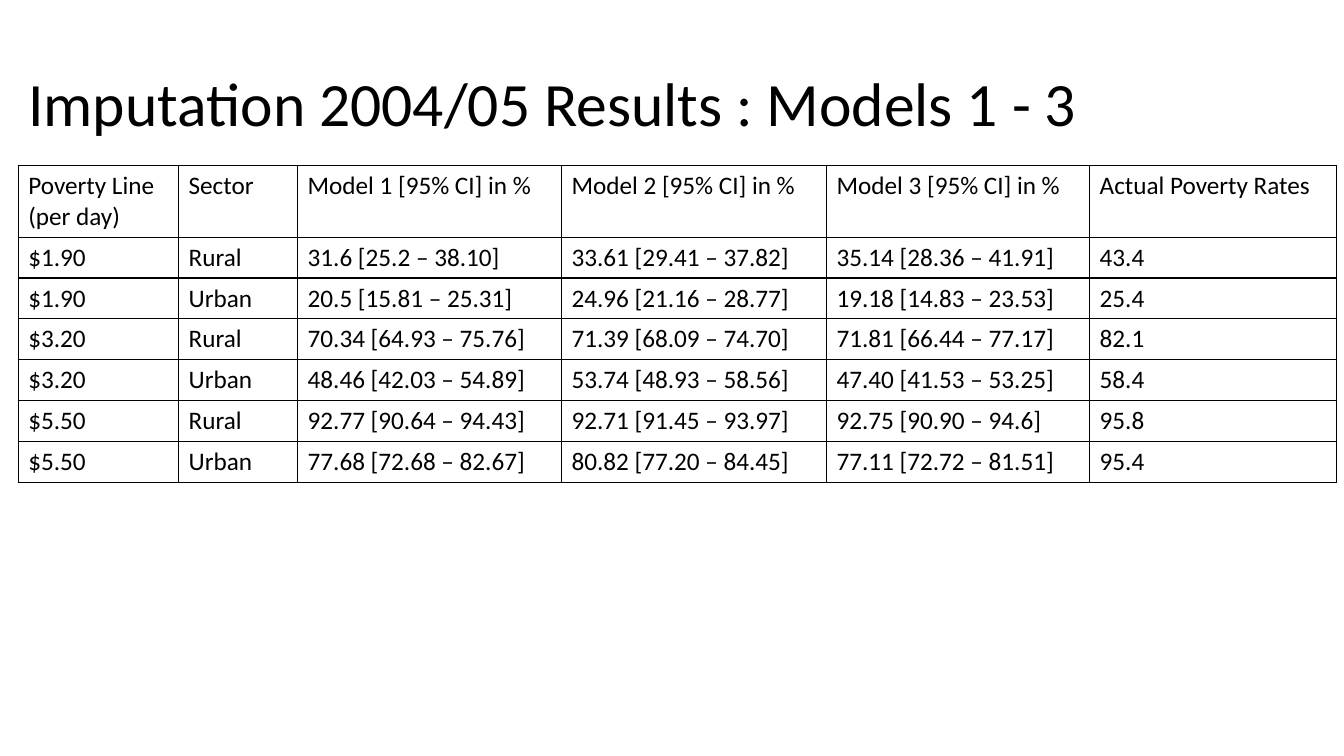
from lxml import etree
from pptx import Presentation
from pptx import util as u
from pptx.dml.color import RGBColor
from pptx.enum import text
from pptx.oxml.ns import qn

HUES = {"ink": "000000", "paper": "FFFFFF"}
FONT = "Calibri"
LEFT = 0.46
WIDTHS = [4.04, 3, 6.65, 6.68, 6.63, 6.22]
HEAD_ROW, DATA_ROW = 1.8, 1.03

HEADS = ["Poverty Line \n(per day)", "Sector"]
HEADS += [f"Model {n} [95% CI] in %" for n in (1, 2, 3)]
HEADS += ["Actual Poverty Rates"]
LINES = ["$1.90", "$3.20", "$5.50"]
SECTORS = ["Rural", "Urban"]
# Per line and sector: the three models' estimates, then the actual rate
RATES = [
    ["31.6 [25.2 – 38.10]", "33.61 [29.41 – 37.82]", "35.14 [28.36 – 41.91]", "43.4"],
    ["20.5 [15.81 – 25.31]", "24.96 [21.16 – 28.77]", "19.18 [14.83 – 23.53]", "25.4"],
    ["70.34 [64.93 – 75.76]", "71.39 [68.09 – 74.70]", "71.81 [66.44 – 77.17]", "82.1"],
    ["48.46 [42.03 – 54.89]", "53.74 [48.93 – 58.56]", "47.40 [41.53 – 53.25]", "58.4"],
    ["92.77 [90.64 – 94.43]", "92.71 [91.45 – 93.97]", "92.75 [90.90 – 94.6]", "95.8"],
    ["77.68 [72.68 – 82.67]", "80.82 [77.20 – 84.45]", "77.11 [72.72 – 81.51]", "95.4"],
]


def hue(name):
    return RGBColor.from_string(HUES[name])


def write(frame, words, size=18, color="ink", space=None):
    frame.text = words
    for para in frame.paragraphs:
        para.alignment = text.PP_ALIGN.LEFT
        para.line_spacing = space
        for run in para.runs:
            font = run.font
            font.name, font.size, font.bold = FONT, u.Pt(size), False
            font.color.rgb = hue(color)


def border(cell, width=1, color="ink"):
    props = cell._tc.get_or_add_tcPr()
    for side in ("a:lnL", "a:lnR", "a:lnT", "a:lnB"):
        line = etree.SubElement(props, qn(side), w=str(u.Pt(width)))
        fill = etree.SubElement(line, qn("a:solidFill"))
        etree.SubElement(fill, qn("a:srgbClr"), val=HUES[color])


def title(slide, words):
    shape = slide.shapes.title
    shape.left, shape.top = u.Cm(LEFT), u.Cm(0.84)
    shape.width, shape.height = u.Cm(29.21), u.Cm(3.68)
    frame = shape.text_frame
    frame.auto_size = text.MSO_AUTO_SIZE.NONE
    frame.vertical_anchor = text.MSO_ANCHOR.MIDDLE
    write(frame, words, size=44, space=0.9)


def table(slide, rows):
    heights = [HEAD_ROW] + [DATA_ROW] * (len(rows) - 1)
    grid = slide.shapes.add_table(
        len(rows), len(WIDTHS), u.Cm(LEFT), u.Cm(4.17),
        u.Cm(sum(WIDTHS)), u.Cm(sum(heights))).table
    grid.first_row = grid.horz_banding = False
    for col, width in zip(grid.columns, WIDTHS):
        col.width = u.Cm(width)
    for row, height, values in zip(grid.rows, heights, rows):
        row.height = u.Cm(height)
        for cell, value in zip(row.cells, values):
            write(cell.text_frame, value)
            border(cell)
            cell.fill.background()


def main():
    deck = Presentation()
    deck.slide_width, deck.slide_height = u.Cm(33.87), u.Cm(19.05)
    slide = deck.slides.add_slide(deck.slide_layouts.get_by_name("Title Only"))
    slide.background.fill.solid()
    slide.background.fill.fore_color.rgb = hue("paper")

    # Heading
    title(slide, "Imputation 2004/05 Results : Models 1 - 3")

    # Results, one row per poverty line and sector
    keys = [[line, sector] for line in LINES for sector in SECTORS]
    table(slide, [HEADS] + [key + rate for key, rate in zip(keys, RATES)])

    deck.save("out.pptx")


main()
